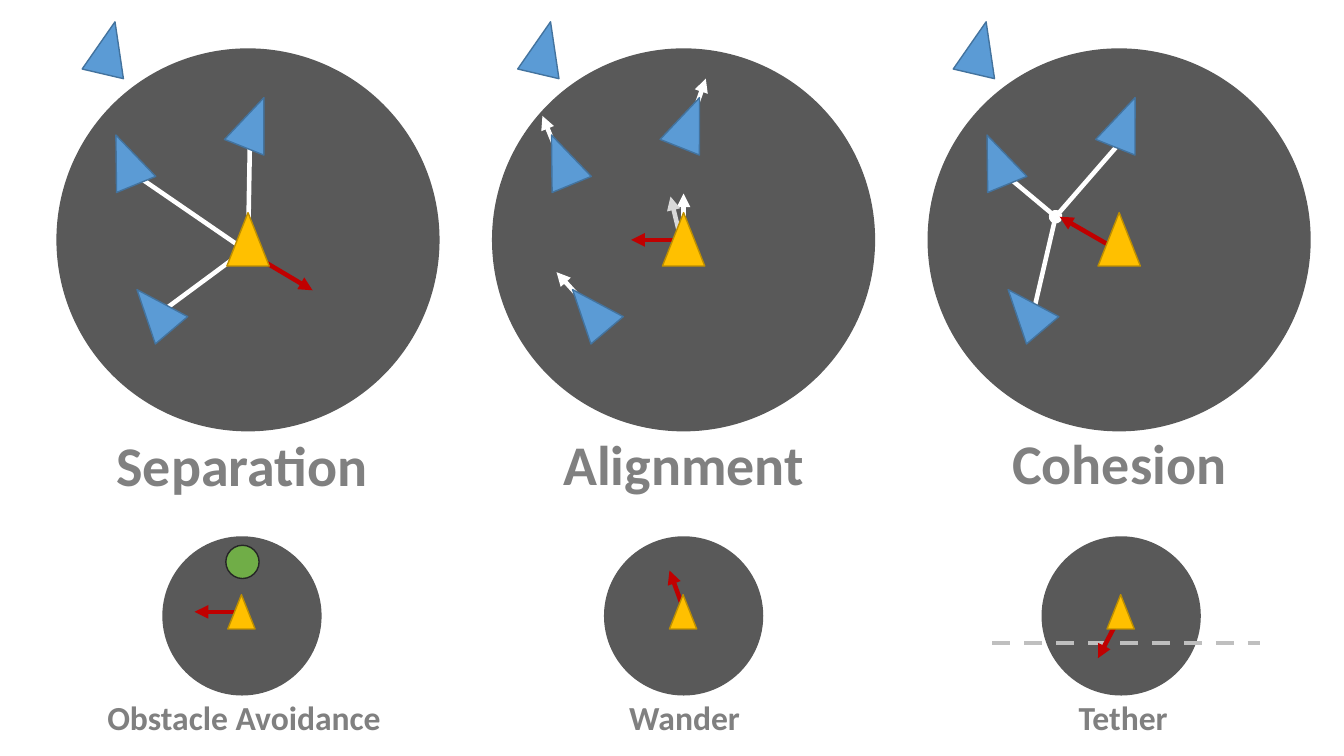
from lxml import etree
from pptx import Presentation
from pptx.dml.color import RGBColor
from pptx.enum import dml, shapes, text
from pptx.oxml import ns
from pptx.util import Pt

PX = 9144  # 100 px to the inch
THEME = {
    "font": "Calibri", "heading": 40, "caption": 24, "outline": 1, "stroke": 3.25,
    "disc": "595959", "text": "808080", "neighbour": "5B9BD5", "neighbour edge": "43739E",
    "agent": "FFC000", "agent edge": "BD8E00", "obstacle": "70AD47", "obstacle edge": "262626",
    "link": "FFFFFF", "average": "D9D9D9", "steer": "C00000", "tether": "BFBFBF",
}
ELLIPSE = shapes.MSO_SHAPE.OVAL
TRIANGLE = shapes.MSO_SHAPE.ISOSCELES_TRIANGLE

presentation = Presentation()
presentation.slide_width = 1333 * PX
presentation.slide_height = 750 * PX
slide = presentation.slides.add_slide(presentation.slide_layouts[6])


def add_figure(preset, left, top, width, height, role, rotation=0):
    shape = slide.shapes.add_shape(preset, left * PX, top * PX, width * PX, height * PX)
    shape.shadow.inherit = False
    shape.rotation = rotation
    shape.fill.solid()
    shape.fill.fore_color.rgb = RGBColor.from_string(THEME[role])
    if role + " edge" in THEME:
        shape.line.color.rgb = RGBColor.from_string(THEME[role + " edge"])
        shape.line.width = Pt(THEME["outline"])
    else:
        shape.line.fill.background()


def add_line(start, end, role, head=None):
    connector = slide.shapes.add_connector(
        shapes.MSO_CONNECTOR.STRAIGHT, *(value * PX for value in start + end))
    connector.line.color.rgb = RGBColor.from_string(THEME[role])
    connector.line.width = Pt(THEME["stroke"])
    if role == "tether":
        connector.line.dash_style = dml.MSO_LINE.DASH
    if head:
        etree.SubElement(connector.line._get_or_add_ln(), ns.qn("a:headEnd"), type=head)
    etree.SubElement(connector._element.spPr, ns.qn("a:effectLst"))


# Flocking rules: disc left edge, then lines as (start, end, role, head at start)
flocking_panels = [
    (56, [
        ((154, 314), (246, 246), "link", None),
        ((128, 169), (246, 250), "link", None),
        ((246, 246), (248, 133), "link", "oval"),
        ((310, 288), (246, 250), "steer", "triangle"),
    ]),
    (488, [
        ((552, 270), (592, 314), "link", "triangle"),
        ((626, 238), (678, 238), "steer", "triangle"),
        ((538, 115), (560, 169), "link", "triangle"),
        ((700, 78), (681, 133), "link", "triangle"),
        ((678, 192), (678, 253), "link", "triangle"),
        ((665, 195), (678, 249), "average", "triangle"),
    ]),
    (920, [
        ((1024, 314), (1047, 215), "link", None),
        ((992, 169), (1047, 215), "link", None),
        ((1047, 215), (1107, 146), "link", "oval"),
        ((1051, 215), (1110, 249), "steer", "triangle"),
    ]),
]
# Neighbours as (offset from disc, top, rotation)
neighbours = [(175, 95, 21.7), (76, 281, 319.7), (48, 132, 337.7), (31, 21, 13.2)]
for disc_left, lines in flocking_panels:
    add_figure(ELLIPSE, disc_left, 48, 380, 380, "disc")
    for line in lines:
        add_line(*line)
    for offset, top, rotation in neighbours:
        add_figure(TRIANGLE, disc_left + offset, top, 42, 53, "neighbour", rotation)
    add_figure(TRIANGLE, disc_left + 169, 211, 42, 53, "agent")

# Extra behaviours: smaller discs with one steering arrow each
behaviour_panels = [
    (161, [((193, 607), (242, 607), "steer", "triangle")]),
    (599, [((664, 566), (679, 607), "steer", "triangle")]),
    (1033, [
        ((984, 638), (1250, 638), "tether", None),
        ((1089, 653), (1113, 607), "steer", "triangle"),
    ]),
]
for disc_left, lines in behaviour_panels:
    add_figure(ELLIPSE, disc_left, 532, 158, 158, "disc")
    for line in lines:
        add_line(*line)
    add_figure(TRIANGLE, disc_left + 65, 590, 27, 34, "agent")
add_figure(ELLIPSE, 224, 541, 33, 33, "obstacle")

# Labels: wording, left, top, width, height, type size
labels = [
    ("Separation", 44, 422, 392, 77, "heading"),
    ("Alignment", 482, 421, 392, 77, "heading"),
    ("Cohesion", 914, 420, 392, 77, "heading"),
    ("Obstacle Avoidance", 81, 686, 322, 50, "caption"),
    ("Wander", 518, 686, 322, 50, "caption"),
    ("Tether", 953, 686, 322, 50, "caption"),
]
for wording, left, top, width, height, size in labels:
    label = slide.shapes.add_textbox(left * PX, top * PX, width * PX, height * PX)
    label.text_frame.word_wrap = True
    label.text_frame.auto_size = text.MSO_AUTO_SIZE.SHAPE_TO_FIT_TEXT
    paragraph = label.text_frame.paragraphs[0]
    paragraph.alignment = text.PP_ALIGN.CENTER
    run = paragraph.add_run()
    run.text = wording
    run.font.name = THEME["font"]
    run.font.size = Pt(THEME[size])
    run.font.bold = True
    run.font.color.rgb = RGBColor.from_string(THEME["text"])

presentation.save("out.pptx")
